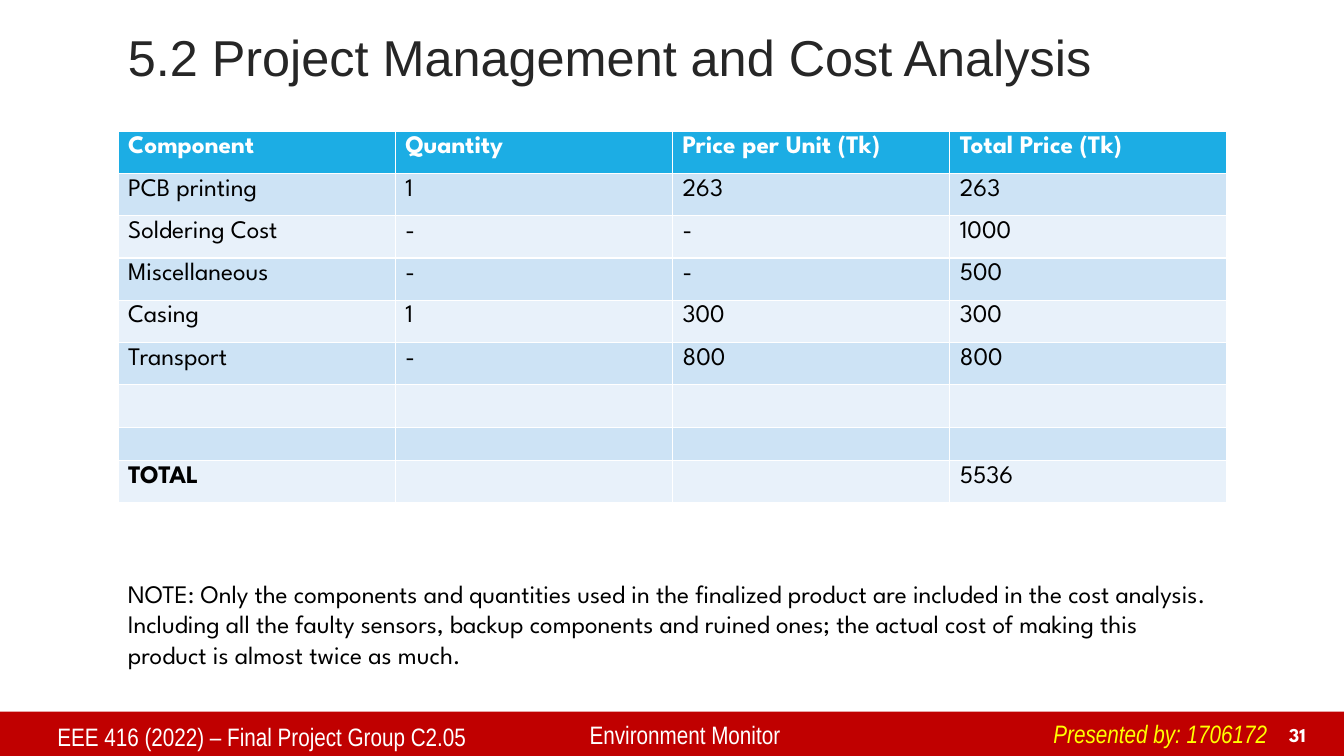
import pptx
import pptx.dml.color
import pptx.enum.shapes
import pptx.enum.text
import pptx.util

Inches = pptx.util.Inches
RGBColor = pptx.dml.color.RGBColor
ANCHOR = pptx.enum.text.MSO_ANCHOR
ALIGN = pptx.enum.text.PP_ALIGN

WHITE = RGBColor(0xFF, 0xFF, 0xFF)
BLACK = RGBColor(0x00, 0x00, 0x00)
CHARCOAL = RGBColor(0x26, 0x26, 0x26)
YELLOW = RGBColor(0xFF, 0xFF, 0x00)
FOOTER_RED = RGBColor(0xC0, 0x00, 0x00)
HEADER_BLUE = RGBColor(0x1C, 0xAD, 0xE4)
BAND_DARK = RGBColor(0xCD, 0xE3, 0xF5)
BAND_LIGHT = RGBColor(0xE8, 0xF1, 0xFA)

BODY_FONT = "League Spartan"
FOOTER_FONT = "Arial Narrow"
MARGIN = 1.17
CONTENT_WIDTH = 11
ROW_HEIGHT = 0.42
SHORT_ROW, SHORT_ROW_HEIGHT = 7, 0.33

COST_ROWS = [
    ("Component", "Quantity", "Price per Unit (Tk)", "Total Price (Tk)"),
    ("PCB printing", "1", "263", "263"),
    ("Soldering Cost", "-", "-", "1000"),
    ("Miscellaneous", "-", "-", "500"),
    ("Casing", "1", "300", "300"),
    ("Transport", "-", "800", "800"),
    ("", "", "", ""),
    ("", "", "", ""),
    ("TOTAL", "", "", "5536"),
]
NOTE = (
    "NOTE: Only the components and quantities used in the finalized product are "
    "included in the cost analysis. Including all the faulty sensors, backup "
    "components and ruined ones; the actual cost of making this product is "
    "almost twice as much."
)


def write_text(frame, text, font=BODY_FONT, size=18, color=BLACK, bold=False,
               italic=False, align=ALIGN.LEFT, spacing=None):
    """Write one formatted paragraph into a text frame."""
    paragraph = frame.paragraphs[0]
    paragraph.alignment = align
    paragraph.line_spacing = spacing
    run = paragraph.add_run()
    run.text = text
    run.font.name = font
    run.font.size = pptx.util.Pt(size)
    run.font.color.rgb = color
    run.font.bold = bold
    run.font.italic = italic


def add_text(slide, left, top, width, height, text, anchor=ANCHOR.TOP,
             wrap=True, bottom_inset=0.05, **text_format):
    """Add a text box with one formatted paragraph."""
    box = slide.shapes.add_textbox(Inches(left), Inches(top), Inches(width), Inches(height))
    frame = box.text_frame
    frame.word_wrap = wrap
    frame.vertical_anchor = anchor
    frame.margin_bottom = Inches(bottom_inset)
    write_text(frame, text, **text_format)


def add_cost_table(slide, left, top, width):
    """Add the banded cost table."""
    row_count, column_count = len(COST_ROWS), len(COST_ROWS[0])
    table = slide.shapes.add_table(
        row_count, column_count, Inches(left), Inches(top), Inches(width),
        Inches(ROW_HEIGHT * (row_count - 1) + SHORT_ROW_HEIGHT)).table
    for column in table.columns:
        column.width = Inches(width / column_count)
    for row_index, values in enumerate(COST_ROWS):
        is_header = row_index == 0
        height = SHORT_ROW_HEIGHT if row_index == SHORT_ROW else ROW_HEIGHT
        table.rows[row_index].height = Inches(height)
        band = BAND_DARK if row_index % 2 else BAND_LIGHT
        for column_index, value in enumerate(values):
            cell = table.cell(row_index, column_index)
            cell.fill.solid()
            cell.fill.fore_color.rgb = HEADER_BLUE if is_header else band
            if value:
                write_text(cell.text_frame, value, color=WHITE if is_header else BLACK,
                           bold=is_header or value == "TOTAL")
            else:
                cell.margin_top = cell.margin_bottom = 0


def add_footer(slide, top, width, height):
    """Add the red footer band with its labels and the slide number."""
    band = slide.shapes.add_shape(pptx.enum.shapes.MSO_SHAPE.RECTANGLE, 0, Inches(top),
                                  Inches(width), Inches(height))
    band.shadow.inherit = False
    band.fill.solid()
    band.fill.fore_color.rgb = FOOTER_RED
    band.line.fill.background()
    add_text(slide, width - 0.85, top + 0.05, 0.57, 0.34, "31", anchor=ANCHOR.BOTTOM,
             size=14, color=WHITE, bold=True, align=ALIGN.RIGHT)
    add_text(slide, 0.47, top + 0.05, 5.28, 0.41,
             "EEE 416 (2022) – Final Project Group C2.05", font=FOOTER_FONT, color=WHITE)
    add_text(slide, 5.75, top + 0.03, 6.73, 0.41, "Environment Monitor",
             font=FOOTER_FONT, color=WHITE)
    add_text(slide, 10.35, top + 0.02, 2.35, 0.4, "Presented by: 1706172", wrap=False,
             font=FOOTER_FONT, color=YELLOW, italic=True)


def main():
    """Build and save the cost analysis slide."""
    presentation = pptx.Presentation()
    presentation.slide_width = Inches(13.33)
    presentation.slide_height = Inches(7.5)
    slide = presentation.slides.add_slide(presentation.slide_layouts[6])
    add_footer(slide, 7.06, 13.33, 0.45)
    add_text(slide, MARGIN, 0.5, CONTENT_WIDTH, 0.8,
             "5.2 Project Management and Cost Analysis", anchor=ANCHOR.MIDDLE,
             bottom_inset=0.65, font="Arial", size=36, color=CHARCOAL, spacing=0.9)
    add_cost_table(slide, MARGIN, 1.3, CONTENT_WIDTH)
    add_text(slide, MARGIN, 5.69, CONTENT_WIDTH, 1.01, NOTE)
    presentation.save("out.pptx")


if __name__ == "__main__":
    main()
